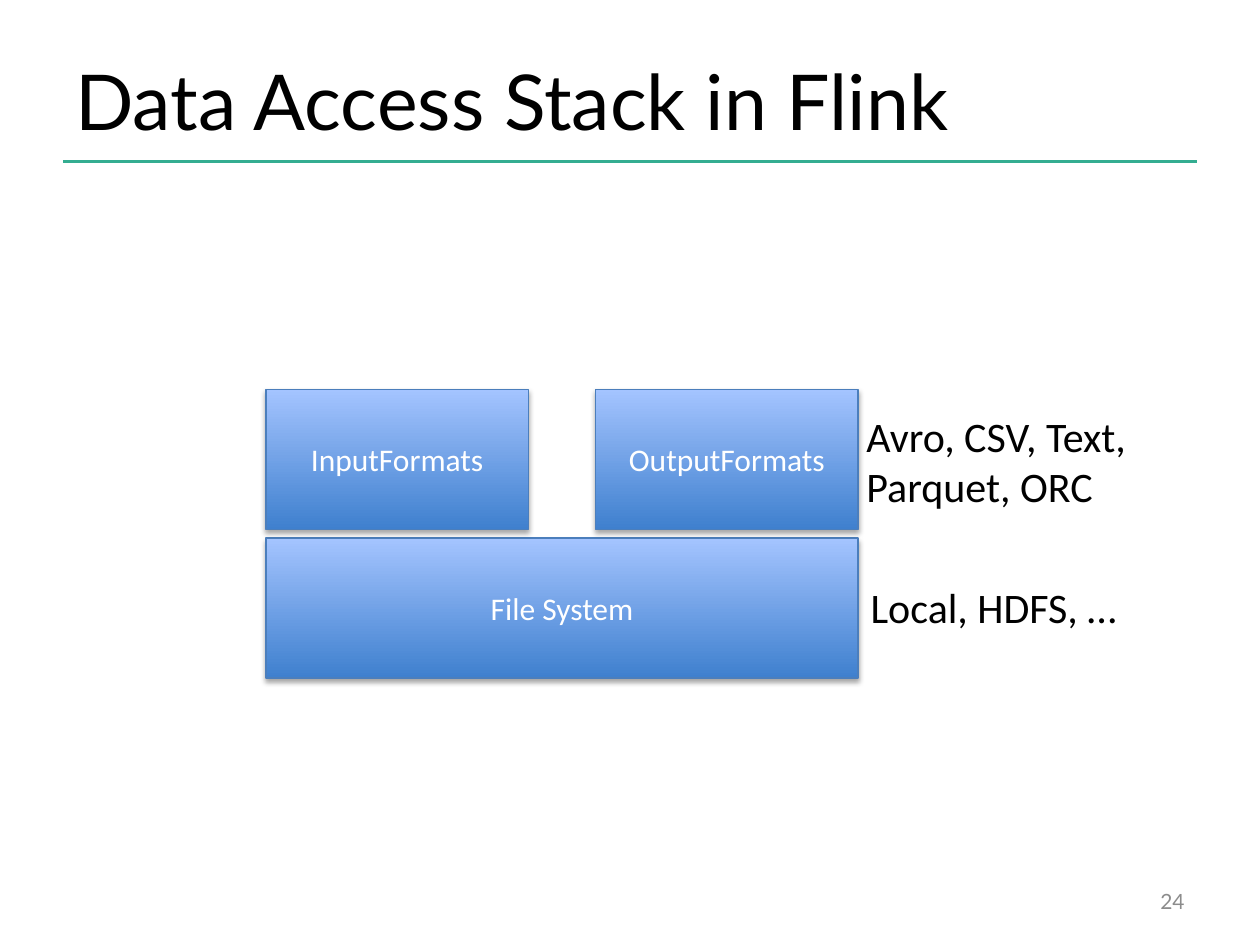
from dataclasses import dataclass

from lxml.etree import SubElement
from pptx import Presentation
from pptx.dml.color import RGBColor
from pptx.enum.shapes import MSO_CONNECTOR, MSO_SHAPE
from pptx.enum.text import MSO_ANCHOR, MSO_AUTO_SIZE, PP_ALIGN
from pptx.oxml.ns import qn
from pptx.util import Pt


@dataclass(frozen=True)
class Theme:
    heading_font: str = "Lato"
    body_font: str = "Calibri"
    title_size: int = 44
    note_size: int = 24
    block_size: int = 18
    number_size: int = 12
    ink: RGBColor = RGBColor(0x00, 0x00, 0x00)
    block_ink: RGBColor = RGBColor(0xFF, 0xFF, 0xFF)
    number_ink: RGBColor = RGBColor(0x8C, 0x8C, 0x8C)
    rule: RGBColor = RGBColor(0x34, 0xAD, 0x91)
    block_bottom: RGBColor = RGBColor(0x3F, 0x80, 0xCE)
    block_top: RGBColor = RGBColor(0xA4, 0xC4, 0xFF)
    block_edge: RGBColor = RGBColor(0x4B, 0x7E, 0xBC)


THEME = Theme()

MARGIN = 36
CONTENT_RIGHT = 684
STACK_LEFT = 152
STACK_WIDTH = 338.4
STACK_TOP = 222.5
FORMAT_WIDTH = 150
BLOCK_HEIGHT = 80
ROW_PITCH = 85


def write(shape, text, font_name, size, color, align=PP_ALIGN.LEFT,
          anchor=MSO_ANCHOR.MIDDLE):
    frame = shape.text_frame
    frame.word_wrap = True
    frame.vertical_anchor = anchor
    paragraph = frame.paragraphs[0]
    paragraph.text = text
    paragraph.alignment = align
    paragraph.font.name = font_name
    paragraph.font.size = Pt(size)
    paragraph.font.color.rgb = color


def add_text(slide, box, *style, **placement):
    label = slide.shapes.add_textbox(*map(Pt, box))
    write(label, *style, **placement)
    return label


def add_note(slide, text, left, top, height):
    """Add a description to the right of a stack row."""
    note = add_text(slide, (left, top, 193.7, height), text, THEME.body_font,
                    THEME.note_size, THEME.ink, anchor=MSO_ANCHOR.TOP)
    note.text_frame.auto_size = MSO_AUTO_SIZE.SHAPE_TO_FIT_TEXT


def add_drop_shadow(shape):
    effects = shape._element.spPr.get_or_add_effectLst()
    shadow = SubElement(effects, qn("a:outerShdw"), blurRad=str(Pt(3.1)),
                        dist=str(Pt(1.8)), dir="5400000", rotWithShape="0")
    color = SubElement(shadow, qn("a:srgbClr"), val="000000")
    SubElement(color, qn("a:alpha"), val="35000")


def add_block(slide, text, left, top, width):
    block = slide.shapes.add_shape(MSO_SHAPE.RECTANGLE, Pt(left), Pt(top),
                                   Pt(width), Pt(BLOCK_HEIGHT))
    block.fill.gradient()
    block.fill.gradient_angle = 90
    for stop, color in zip(block.fill.gradient_stops,
                           (THEME.block_bottom, THEME.block_top)):
        stop.color.rgb = color
    block.line.color.rgb = THEME.block_edge
    block.line.width = Pt(0.75)
    block.shadow.inherit = False
    add_drop_shadow(block)
    write(block, text, THEME.body_font, THEME.block_size, THEME.block_ink,
          align=PP_ALIGN.CENTER)


def add_title_rule(slide, y):
    rule = slide.shapes.add_connector(MSO_CONNECTOR.STRAIGHT, Pt(MARGIN), Pt(y),
                                      Pt(CONTENT_RIGHT), Pt(y))
    rule.line.color.rgb = THEME.rule
    rule.line.width = Pt(2)
    SubElement(rule._element.spPr, qn("a:effectLst"))


def main():
    presentation = Presentation()
    presentation.slide_width = Pt(720)
    presentation.slide_height = Pt(540)
    slide = presentation.slides.add_slide(presentation.slide_layouts[6])

    add_title_rule(slide, 92.16)
    add_text(slide, (MARGIN, 21.6, 588, 70.5), "Data Access Stack in Flink",
             THEME.heading_font, THEME.title_size, THEME.ink)
    add_text(slide, (CONTENT_RIGHT - 168, 500.5, 168, 28.75), "24",
             THEME.heading_font, THEME.number_size, THEME.number_ink,
             align=PP_ALIGN.RIGHT)

    stack_right = STACK_LEFT + STACK_WIDTH
    add_block(slide, "File System", STACK_LEFT, STACK_TOP + ROW_PITCH, STACK_WIDTH)
    add_block(slide, "InputFormats", STACK_LEFT, STACK_TOP, FORMAT_WIDTH)
    add_block(slide, "OutputFormats", stack_right - FORMAT_WIDTH, STACK_TOP,
              FORMAT_WIDTH)

    add_note(slide, "Local, HDFS, …", stack_right, 329, 36)
    add_note(slide, "Avro, CSV, Text, Parquet, ORC", stack_right - 2.4, 231, 65.5)

    presentation.save("out.pptx")


if __name__ == "__main__":
    main()
